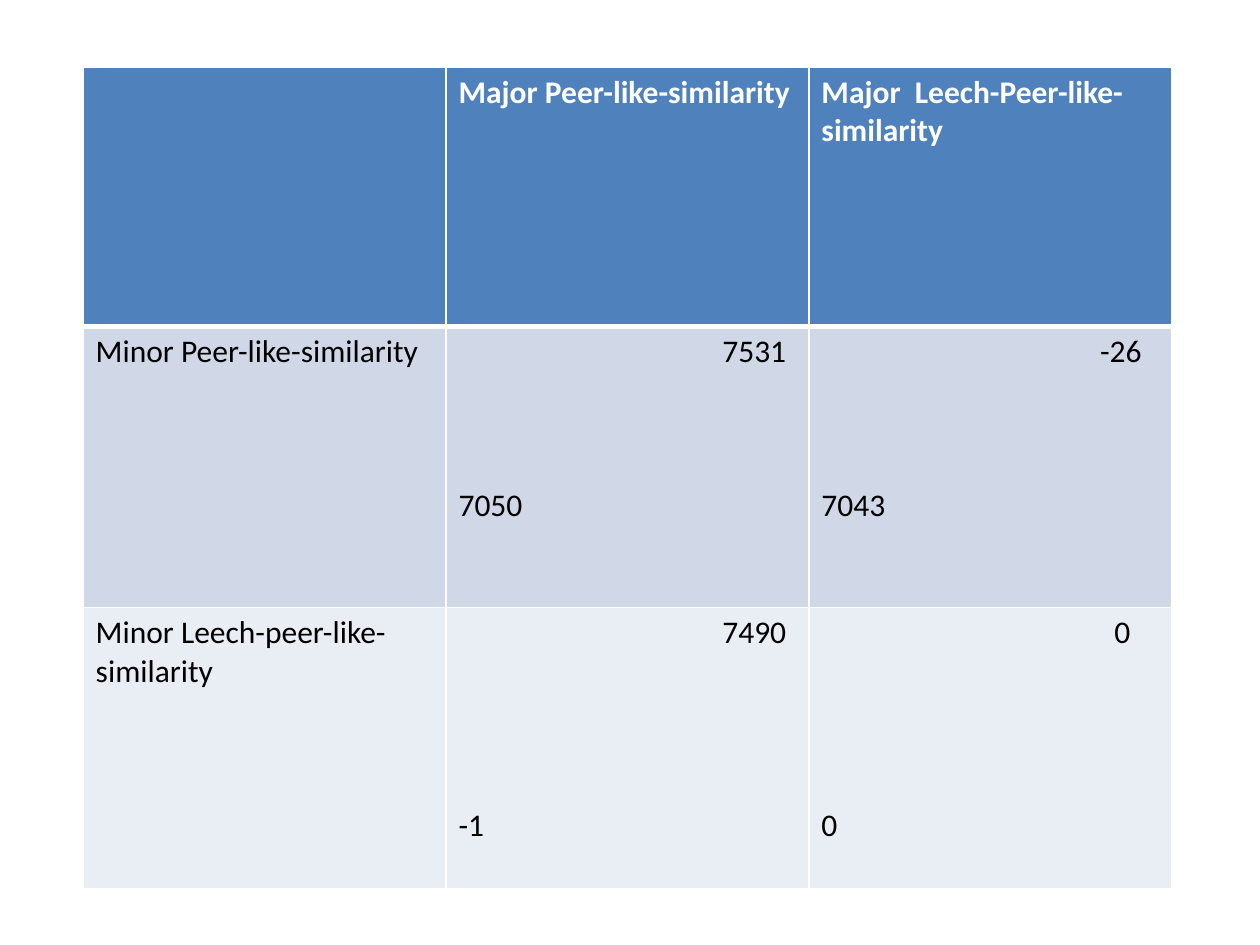
from lxml import etree
from pptx import Presentation
from pptx.dml.color import RGBColor
from pptx.enum.text import PP_ALIGN
from pptx.oxml.ns import qn
from pptx.util import Inches, Pt

LEFT, RIGHT = PP_ALIGN.LEFT, PP_ALIGN.RIGHT
WHITE = RGBColor(0xFF, 0xFF, 0xFF)
BLACK = RGBColor(0, 0, 0)
BLUE = RGBColor(0x4F, 0x81, 0xBD)
BAND_DARK = RGBColor(0xD0, 0xD8, 0xE8)
BAND_LIGHT = RGBColor(0xE9, 0xED, 0xF4)
FILLS = [BLUE, BAND_DARK, BAND_LIGHT]
ROW_HEIGHTS = [2.06, 2.23, 2.23]
COLUMN_WIDTH = 2.88
LINE_PITCH = 22

HEADERS = ["", "Major Peer-like-similarity", "Major  Leech-Peer-like-similarity"]
ROWS = [
    ("Minor Peer-like-similarity", 3, [("7531", "7050", 0.18), ("-26", "7043", 0.24)]),
    ("Minor Leech-peer-like-similarity", 4, [("7490", "-1", 0.18), ("0", "0", 0.33)]),
]


def set_borders(cell, widths):
    properties = cell._tc.get_or_add_tcPr()
    for side, width in zip("LRTB", widths):
        line = etree.SubElement(properties, qn("a:ln" + side), w=str(Pt(width)))
        fill = etree.SubElement(line, qn("a:solidFill"))
        etree.SubElement(fill, qn("a:srgbClr"), val=str(WHITE))


def style_cell(cell, row):
    set_borders(cell, (1, 1, 3 if row == 1 else 1, 3 if row == 0 else 1))
    cell.fill.solid()
    cell.fill.fore_color.rgb = FILLS[row]
    for para in cell.text_frame.paragraphs:
        para.font.size = Pt(18)
        for span in para.runs:
            span.font.size = Pt(18)
            span.font.name = "Calibri"
            span.font.bold = row == 0
            span.font.color.rgb = WHITE if row == 0 else BLACK


def fill_payoff(cell, upper, lower, inset, gap_lines):
    cell.margin_right = Inches(inset)
    cell.text_frame.text = upper + "\n" + lower
    first, second = cell.text_frame.paragraphs
    first.alignment = RIGHT
    second.alignment = LEFT
    second.space_before = Pt(gap_lines * LINE_PITCH)


def add_payoff_table(page, left, top):
    count = len(HEADERS)
    frame = page.shapes.add_table(
        len(ROW_HEIGHTS), count, Inches(left), Inches(top),
        Inches(COLUMN_WIDTH * count), Inches(sum(ROW_HEIGHTS)))
    table = frame.table
    for column in table.columns:
        column.width = Inches(COLUMN_WIDTH)
    for row, height in zip(table.rows, ROW_HEIGHTS):
        row.height = Inches(height)
    for column, header in enumerate(HEADERS):
        table.cell(0, column).text_frame.text = header
    for row, (label, gap_lines, payoffs) in enumerate(ROWS, 1):
        table.cell(row, 0).text_frame.text = label
        for column, (upper, lower, inset) in enumerate(payoffs, 1):
            fill_payoff(table.cell(row, column), upper, lower, inset, gap_lines)
    for row in range(len(ROW_HEIGHTS)):
        for column in range(count):
            style_cell(table.cell(row, column), row)


deck = Presentation()
deck.slide_width = Inches(10)
deck.slide_height = Inches(7.5)
page = deck.slides.add_slide(deck.slide_layouts[6])
add_payoff_table(page, 0.66, 0.53)
deck.save("out.pptx")
